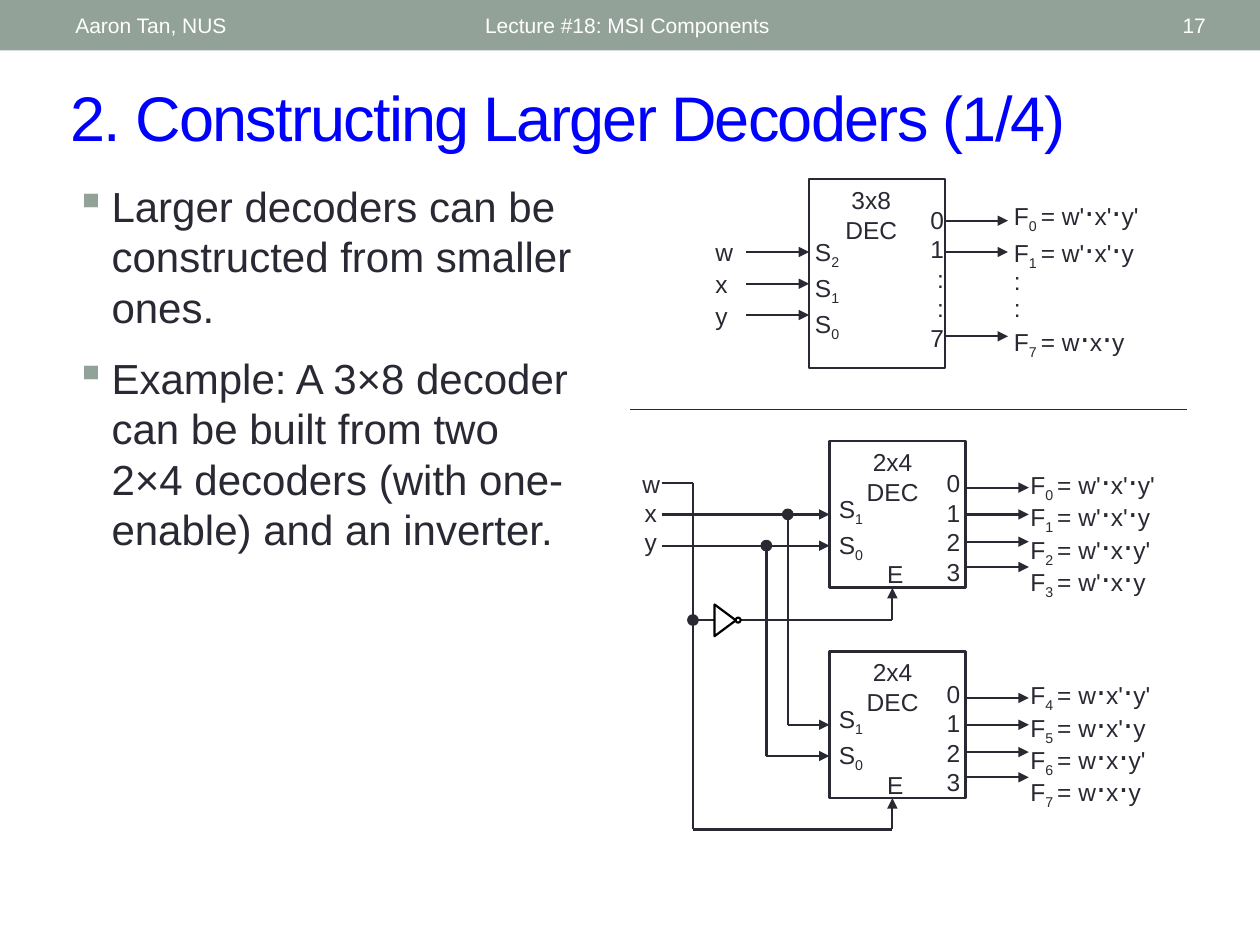
import dataclasses
import itertools

import lxml.etree
import pptx
import pptx.dml.color
import pptx.enum.shapes
import pptx.enum.text
import pptx.oxml.ns
import pptx.util

Cm = pptx.util.Cm
Pt = pptx.util.Pt
qn = pptx.oxml.ns.qn
Align = pptx.enum.text.PP_ALIGN
Anchor = pptx.enum.text.MSO_ANCHOR
Preset = pptx.enum.shapes.MSO_SHAPE
LEFT_SIDE, RIGHT_SIDE = 1, 3


@dataclasses.dataclass(frozen=True)
class Theme:
    font: str = "Arial"
    ink: str = "292934"
    accent: str = "93A299"
    title: str = "0000FF"
    white: str = "FFFFFF"
    black: str = "000000"
    title_size: float = 36
    body_size: float = 24
    dot_size: float = 18
    label_size: float = 14
    header_size: float = 12
    box_line: float = 1.5
    wire_line: float = 1.25
    thin_line: float = 0.75


def rgb(color):
    return pptx.dml.color.RGBColor.from_string(color)


def write_text(frame, lines, *, font, size, color, dot_size=None, align=Align.LEFT,
               anchor=Anchor.TOP, before=(0,), line_spacing=None):
    """Fill a frame; text between underscores is subscript, ⋅ may have its own size."""
    frame.word_wrap = True
    frame.vertical_anchor = anchor
    for number, line in enumerate(lines):
        paragraph = frame.paragraphs[0] if number == 0 else frame.add_paragraph()
        paragraph.alignment = align
        paragraph.space_before = Pt(before[min(number, len(before) - 1)])
        if line_spacing:
            paragraph.line_spacing = line_spacing
        for position, part in enumerate(line.split("_")):
            for is_dot, letters in itertools.groupby(part, lambda letter: letter == "⋅"):
                run = paragraph.add_run()
                run.text = "".join(letters)
                run.font.name = font
                run.font.size = Pt(dot_size if is_dot and dot_size else size)
                run.font.color.rgb = rgb(color)
                if position % 2:
                    run.font._element.set("baseline", "-25000")


def minterm(number):
    """Product of w, x, y that is 1 for this input number, as 'Fn = ...'."""
    factors = [name if number >> bit & 1 else name + "'"
               for name, bit in (("w", 2), ("x", 1), ("y", 0))]
    return f"F_{number} _= " + "⋅".join(factors)


class SlideBuilder:
    def __init__(self, presentation, theme):
        self.theme = theme
        self.slide = presentation.slides.add_slide(presentation.slide_layouts[5])

    def title(self, text, left, top, width, height):
        shape = self.slide.shapes.title
        shape.left, shape.top, shape.width, shape.height = map(Cm, (left, top, width, height))
        shape.text_frame.auto_size = pptx.enum.text.MSO_AUTO_SIZE.NONE
        write_text(shape.text_frame, [text], font=self.theme.font, size=self.theme.title_size,
                   color=self.theme.title, anchor=Anchor.MIDDLE)
        for run in shape.text_frame.paragraphs[0].runs:
            run.font._element.set("spc", "-100")

    def text(self, lines, left, top, width, height, **text_format):
        shape = self.slide.shapes.add_textbox(Cm(left), Cm(top), Cm(width), Cm(height))
        defaults = dict(font=self.theme.font, size=self.theme.label_size,
                        color=self.theme.ink, dot_size=self.theme.dot_size)
        write_text(shape.text_frame, lines, **{**defaults, **text_format})
        return shape

    def bullets(self, lines, left, top, width, height):
        shape = self.text(lines, left, top, width, height,
                          size=self.theme.body_size, before=(5, 12))
        for paragraph in shape.text_frame.paragraphs:
            properties = paragraph._p.get_or_add_pPr()
            properties.set("marL", str(Cm(0.73)))
            properties.set("indent", str(Cm(-0.73)))
            color = lxml.etree.SubElement(properties, qn("a:buClr"))
            lxml.etree.SubElement(color, qn("a:srgbClr"), val=self.theme.accent)
            lxml.etree.SubElement(properties, qn("a:buChar"), char="▪")

    def shape(self, preset, left, top, width, height, *, fill=None, line=None, weight=1,
              rotation=0):
        shape = self.slide.shapes.add_shape(preset, Cm(left), Cm(top), Cm(width), Cm(height))
        shape.shadow.inherit = False
        shape.rotation = rotation
        if fill:
            shape.fill.solid()
            shape.fill.fore_color.rgb = rgb(fill)
        else:
            shape.fill.background()
        if line:
            shape.line.color.rgb = rgb(line)
            shape.line.width = Pt(weight)
        else:
            shape.line.fill.background()
        return shape

    def wire(self, *points, arrow=False, weight=None, begin=None, end=None):
        """Join the points by straight segments; begin and end are (shape, site)."""
        segments = list(itertools.pairwise(points))
        for number, (start, stop) in enumerate(segments):
            connector = self.slide.shapes.add_connector(
                pptx.enum.shapes.MSO_CONNECTOR.STRAIGHT, *map(Cm, start + stop))
            connector.line.color.rgb = rgb(self.theme.ink)
            connector.line.width = Pt(weight or self.theme.wire_line)
            properties = connector.element.spPr
            is_last = number == len(segments) - 1
            if arrow and is_last:
                lxml.etree.SubElement(properties.find(qn("a:ln")), qn("a:tailEnd"),
                                      type="triangle")
            lxml.etree.SubElement(properties, qn("a:effectLst"))
            if begin and number == 0:
                connector.begin_connect(*begin)
            if end and is_last:
                connector.end_connect(*end)

    def junction(self, x, y, size=0.21):
        self.shape(Preset.OVAL, x - size / 2, y - size / 2, size, size,
                   fill=self.theme.ink, line=self.theme.ink, weight=self.theme.thin_line)

    def box(self, name, left, top, width, height, label_left):
        shape = self.shape(Preset.RECTANGLE, left, top, width, height,
                           line=self.theme.ink, weight=self.theme.box_line)
        self.text([name, "DEC"], label_left, top, 2.11, 1.45, align=Align.CENTER)
        return shape

    def small_decoder(self, top, first_output):
        """A 2x4 decoder with enable, its output arrows and functions."""
        box = self.box("2x4", 16.72, top, 2.75, 2.96, 16.94)
        self.text(["S_1_", "S_0_"], 16.66, top + 0.94, 1.19, 1.5, before=(1.5,))
        self.text("0123", 18.54, top + 0.43, 1.07, 2.62, align=Align.RIGHT)
        self.text("E", 17.63, top + 2.26, 0.84, 0.84, align=Align.CENTER)
        for offset in (0.94, 1.48, 2.03, 2.54):
            self.wire((19.47, top + offset), (20.74, top + offset), arrow=True,
                      begin=(box, RIGHT_SIDE) if offset == 1.48 else None)
        self.text([minterm(first_output + number) for number in range(4)],
                  20.52, top + 0.43, 3.2, 2.69, line_spacing=0.8)
        return box


def draw_header(builder, theme):
    builder.shape(Preset.RECTANGLE, 0, 0, 25.4, 1.02, fill=theme.accent)
    for text, left, width, align in (("Aaron Tan, NUS", 1.27, 8.05, Align.LEFT),
                                     ("Lecture #18: MSI Components", 9.53, 11.43, Align.LEFT),
                                     ("17", 22.15, 2.41, Align.RIGHT)):
        builder.text([text], left, 0.05, width, 0.91, size=theme.header_size,
                     color=theme.white, align=align, anchor=Anchor.MIDDLE)


def draw_large_decoder(builder):
    builder.box("3x8", 16.31, 3.61, 2.74, 3.81, 16.51)
    builder.text("wxy", 14.17, 4.65, 0.84, 2.13, before=(1.5,))
    builder.text(["S_2_", "S_1_", "S_0_"], 16.18, 4.65, 1.19, 2.13, before=(1.5,))
    builder.text("01::7", 18.21, 4.01, 1.07, 3.2, align=Align.RIGHT)
    for y in (5.08, 5.72, 6.35):
        builder.wire((15.04, y), (16.31, y), arrow=True)
    for y in (4.45, 5.08, 6.78):
        builder.wire((19.05, y), (20.32, y), arrow=True)
    builder.text([minterm(0), minterm(1), ":", ":", minterm(7)],
                 20.19, 3.84, 3.61, 3.38, line_spacing=0.9)


def draw_combined_decoder(builder, theme):
    upper_top, lower_top = 8.89, 13.13
    upper = builder.small_decoder(upper_top, 0)
    lower = builder.small_decoder(lower_top, 4)
    builder.text("wxy", 12.7, 9.32, 0.84, 2.03, align=Align.CENTER)

    input_x, box_x, enable_x = 13.34, 16.72, 17.99
    w_x, inverter_y = 13.97, 12.5
    for branch_x, offset, connected in ((15.88, 1.48, True), (15.45, 2.11, False)):
        y, lower_y = upper_top + offset, lower_top + offset
        builder.wire((input_x, y), (box_x, y), arrow=True,
                     end=(upper, LEFT_SIDE) if connected else None)
        builder.wire((branch_x, y), (branch_x, lower_y), (box_x, lower_y), arrow=True,
                     end=(lower, LEFT_SIDE) if connected else None)
        builder.junction(branch_x, y)

    builder.wire((input_x, 9.74), (w_x, 9.74), (w_x, 16.72), (enable_x, 16.72),
                 (enable_x, lower_top + 2.96), arrow=True)
    builder.wire((w_x, inverter_y), (14.4, inverter_y))
    builder.wire((14.93, inverter_y), (enable_x, inverter_y),
                 (enable_x, upper_top + 2.96), arrow=True)
    builder.junction(w_x, inverter_y)
    for preset, left, top, width, height in (
            (Preset.FLOWCHART_MERGE, 14.3, 12.29, 0.64, 0.43),
            (Preset.OVAL, 14.83, 12.45, 0.1, 0.1)):
        builder.shape(preset, left, top, width, height, rotation=270,
                      line=theme.black, weight=theme.wire_line)


def main():
    theme = Theme()
    presentation = pptx.Presentation()
    presentation.slide_width, presentation.slide_height = Cm(25.4), Cm(19.05)
    builder = SlideBuilder(presentation, theme)
    draw_header(builder, theme)
    builder.title("2. Constructing Larger Decoders (1/4)", 1.17, 1.45, 23.39, 1.78)
    builder.bullets(["Larger decoders can be constructed from smaller ones.",
                     "Example: A 3×8 decoder can be built from two 2×4 decoders "
                     "(with one-enable) and an inverter."], 1.27, 3.51, 10.59, 14.07)
    draw_large_decoder(builder)
    builder.wire((12.7, 8.26), (23.93, 8.26), weight=theme.thin_line)
    draw_combined_decoder(builder, theme)
    presentation.save("out.pptx")


if __name__ == "__main__":
    main()
